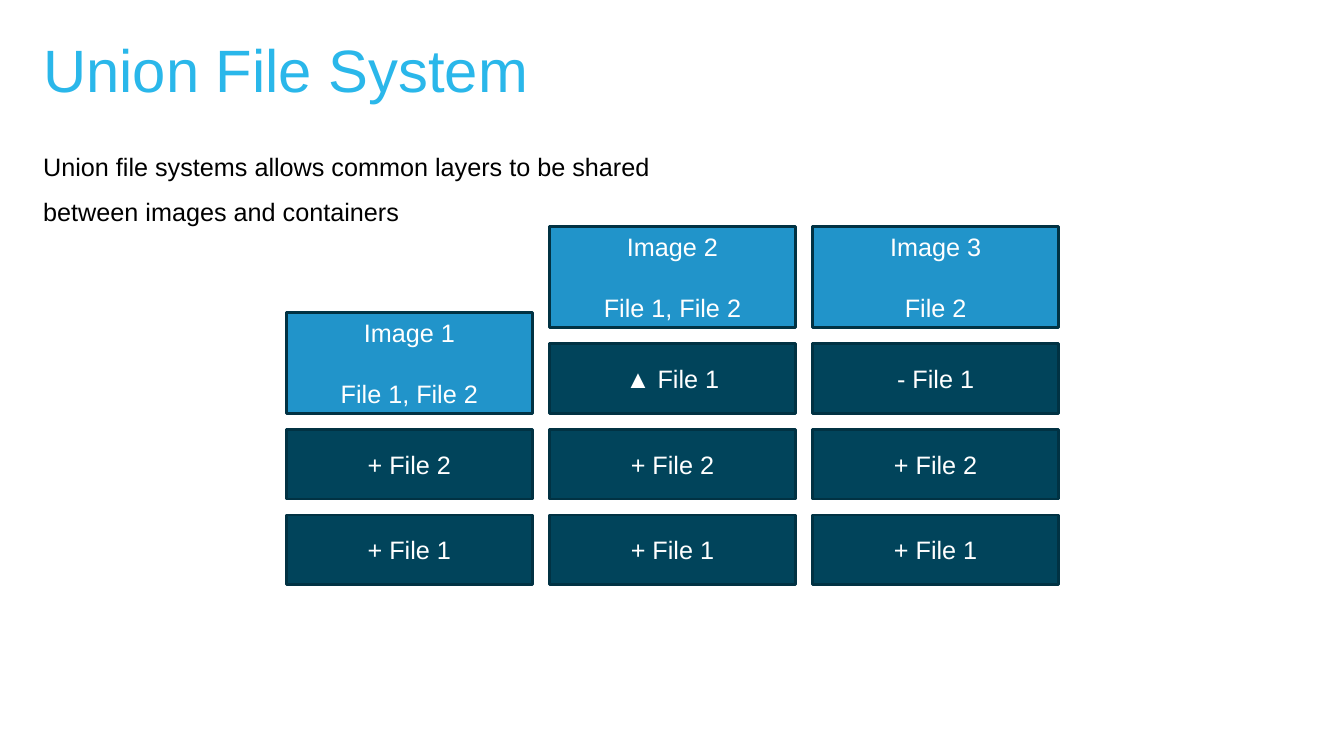
import dataclasses

import pptx
import pptx.dml.color
import pptx.enum.shapes
import pptx.enum.text
import pptx.util

RGBColor = pptx.dml.color.RGBColor
Align = pptx.enum.text.PP_ALIGN
Anchor = pptx.enum.text.MSO_ANCHOR

SKY = RGBColor(0x2A, 0xB7, 0xEA)
BLUE = RGBColor(0x21, 0x94, 0xCA)
TEAL = RGBColor(0x01, 0x44, 0x5B)
EDGE = RGBColor(0x01, 0x32, 0x43)
WHITE = RGBColor(0xFF, 0xFF, 0xFF)
BLACK = RGBColor(0x00, 0x00, 0x00)

# Grid in inches: stacks are columns, layers are rows counted from the base
LEFT, BASE = 2.84, 5.8
COL, ROW = 2.61, 0.85
WIDTH, LAYER, CAP = 2.44, 0.69, 1.0


@dataclasses.dataclass
class Stack:
    name: str
    files: str
    layers: list[str]


STACKS = [
    Stack("Image 1", "File 1, File 2", ["+ File 1", "+ File 2"]),
    Stack("Image 2", "File 1, File 2", ["+ File 1", "+ File 2", "▲ File 1"]),
    Stack("Image 3", "File 2", ["+ File 1", "+ File 2", "- File 1"]),
]


def style(frame, size: float, color: RGBColor, align=Align.LEFT, lead: float = 1.0) -> None:
    frame.word_wrap = True
    for para in frame.paragraphs:
        para.alignment = align
        para.line_spacing = lead
        for run in para.runs:
            run.font.name = "Arial"
            run.font.size = pptx.util.Pt(size)
            run.font.color.rgb = color


def add_text(slide, text: str, box: tuple, size: float, color: RGBColor, lead: float):
    frame = slide.shapes.add_textbox(*map(pptx.util.Inches, box)).text_frame
    frame.text = text
    style(frame, size, color, lead=lead)
    return frame


def add_block(slide, text: str, col: int, row: int, height: float, fill: RGBColor):
    box = (LEFT + col * COL, BASE - row * ROW - height, WIDTH, height)
    block = slide.shapes.add_shape(
        pptx.enum.shapes.MSO_SHAPE.RECTANGLE, *map(pptx.util.Inches, box))
    block.shadow.inherit = False
    block.fill.solid()
    block.fill.fore_color.rgb = fill
    block.line.color.rgb = EDGE
    block.line.width = pptx.util.Pt(2)
    frame = block.text_frame
    frame.text = text
    frame.vertical_anchor = Anchor.MIDDLE
    style(frame, 18, WHITE, Align.CENTER)
    return frame


def add_stack(slide, stack: Stack, col: int) -> None:
    for row, layer in enumerate(stack.layers):
        add_block(slide, layer, col, row, LAYER, TEAL)
    cap = add_block(slide, f"{stack.name}\n{stack.files}", col, len(stack.layers), CAP, BLUE)
    cap.paragraphs[1].space_before = pptx.util.Pt(22)


def main() -> None:
    deck = pptx.Presentation()
    deck.slide_width = pptx.util.Inches(13.33)
    deck.slide_height = pptx.util.Inches(7.5)
    slide = deck.slides.add_slide(deck.slide_layouts[6])

    # Title
    title = add_text(slide, "Union File System", (0.33, 0.31, 12.67, 0.7), 42.7, SKY, 0.9)
    title.margin_left = title.margin_right = pptx.util.Inches(0.1)
    title.margin_top = title.margin_bottom = pptx.util.Inches(0.1)

    # Image stacks
    for col, stack in enumerate(STACKS):
        add_stack(slide, stack, col)

    # Introduction
    add_text(slide, "Union file systems allows common layers to be shared "
             "between images and containers", (0.33, 1.3, 6.67, 0.95), 18, BLACK, 1.5)

    deck.save("out.pptx")


if __name__ == "__main__":
    main()
